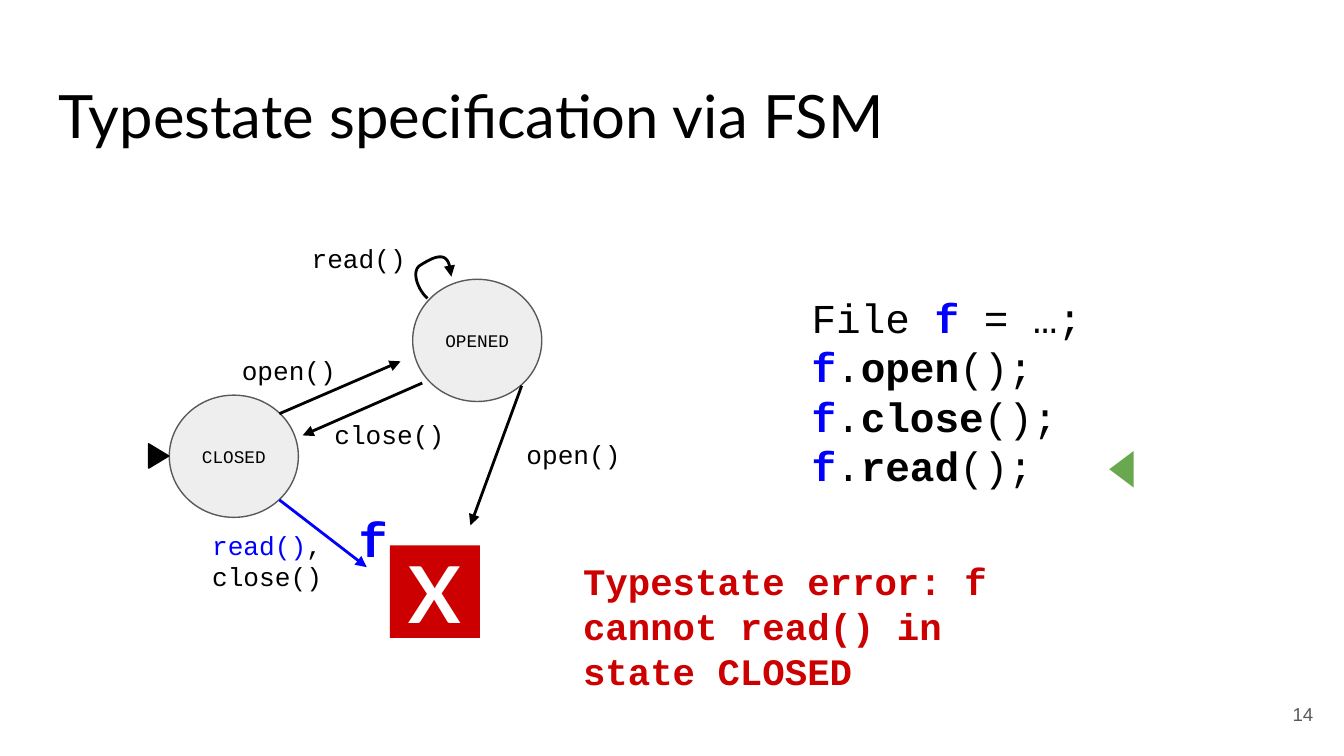
import pptx
import pptx.dml.color
import pptx.enum.shapes
import pptx.enum.text
import pptx.oxml.ns
import pptx.util
from lxml import etree

Cm = pptx.util.Cm
Pt = pptx.util.Pt
RGBColor = pptx.dml.color.RGBColor
Shape = pptx.enum.shapes.MSO_SHAPE
Align = pptx.enum.text.PP_ALIGN
Anchor = pptx.enum.text.MSO_ANCHOR
qn = pptx.oxml.ns.qn

BLACK = RGBColor(0x00, 0x00, 0x00)
WHITE = RGBColor(0xFF, 0xFF, 0xFF)
BLUE = RGBColor(0x00, 0x00, 0xFF)
RED = RGBColor(0xCC, 0x00, 0x00)
GREEN = RGBColor(0x6A, 0xA8, 0x4F)
GRAY = RGBColor(0x59, 0x59, 0x59)
PALE = RGBColor(0xEE, 0xEE, 0xEE)

MONO = "Courier New"
SANS = "Lato"
LABEL_SIZE = 14


def fill_text(shape, lines, size, font=MONO, align=Align.LEFT, anchor=Anchor.TOP):
    """Write lines, each a list of (text, colour, bold) runs."""
    frame = shape.text_frame
    frame.word_wrap = True
    frame.vertical_anchor = anchor
    frame.margin_left = frame.margin_right = Cm(0.25)
    frame.margin_top = frame.margin_bottom = Cm(0.25)
    for index, line in enumerate(lines):
        para = frame.add_paragraph() if index else frame.paragraphs[0]
        para.alignment = align
        for text, color, bold in line:
            span = para.add_run()
            span.text = text
            span.font.name = font
            span.font.size = Pt(size)
            span.font.bold = bold
            span.font.color.rgb = color


def add_text(page, left, top, width, height, lines, size, **style):
    box = page.shapes.add_textbox(Cm(left), Cm(top), Cm(width), Cm(height))
    fill_text(box, lines, size, **style)


def add_label(page, left, top, text, width=6.25):
    add_text(page, left, top, width, 0.84, [[(text, BLACK, False)]], LABEL_SIZE)


def add_solid(page, kind, left, top, width, height, fill, line=None, rotation=0):
    shape = page.shapes.add_shape(kind, Cm(left), Cm(top), Cm(width), Cm(height))
    shape.shadow.inherit = False
    shape.rotation = rotation
    shape.fill.solid()
    shape.fill.fore_color.rgb = fill
    if line is None:
        shape.line.fill.background()
    else:
        shape.line.color.rgb = line
        shape.line.width = Pt(0.75)
    return shape


def add_state(page, left, top, name):
    circle = add_solid(page, Shape.OVAL, left, top, 2.44, 2.31, PALE, GRAY)
    fill_text(circle, [[(name, BLACK, False)]], 9.5,
              align=Align.CENTER, anchor=Anchor.MIDDLE)


def style_arrow(shape, color):
    shape.line.color.rgb = color
    shape.line.width = Pt(1.5)
    etree.SubElement(shape.line._get_or_add_ln(), qn("a:tailEnd"), type="triangle")


def add_arrow(page, start, end, color=BLACK):
    arrow = page.shapes.add_connector(
        pptx.enum.shapes.MSO_CONNECTOR.STRAIGHT,
        Cm(start[0]), Cm(start[1]), Cm(end[0]), Cm(end[1]))
    style_arrow(arrow, color)
    etree.SubElement(arrow._element.spPr, qn("a:effectLst"))


def bezier_points(start, control1, control2, end, steps=12):
    """Sample a cubic Bezier curve, leaving out its start."""
    points = []
    for step in range(1, steps + 1):
        t = step / steps
        weights = ((1 - t) ** 3, 3 * t * (1 - t) ** 2, 3 * t ** 2 * (1 - t), t ** 3)
        corners = (start, control1, control2, end)
        points.append(tuple(
            Cm(sum(w * corner[axis] for w, corner in zip(weights, corners)))
            for axis in (0, 1)))
    return points


def add_loop(page, knots):
    """Draw an arrow along joined cubic curves: a start, then three points each."""
    builder = page.shapes.build_freeform(Cm(knots[0][0]), Cm(knots[0][1]))
    for first in range(0, len(knots) - 1, 3):
        builder.add_line_segments(bezier_points(*knots[first:first + 4]), close=False)
    loop = builder.convert_to_shape()
    loop.shadow.inherit = False
    loop.fill.background()
    style_arrow(loop, BLACK)


def call_line(method):
    return [("f", BLUE, True), (".", BLACK, False),
            (method, BLACK, True), ("();", BLACK, False)]


def add_state_machine(page):
    add_state(page, 3.2, 7.47, "CLOSED")
    add_solid(page, Shape.FLOWCHART_EXTRACT, 2.77, 8.43, 0.46, 0.38,
              BLACK, BLACK, rotation=90)
    add_state(page, 7.8, 5.28, "OPENED")

    add_arrow(page, (5.28, 7.82), (7.57, 6.83))
    add_arrow(page, (7.98, 7.24), (5.72, 8.23))
    add_arrow(page, (5.28, 9.45), (6.93, 10.72), BLUE)
    add_arrow(page, (9.86, 7.29), (8.89, 9.93))
    add_loop(page, [(8.08, 5.64),
                    (7.92, 5.51), (7.77, 5.16), (7.92, 5.03),
                    (8.08, 4.93), (8.28, 4.8), (8.41, 4.88),
                    (8.51, 4.95), (8.51, 5.13), (8.53, 5.23)])

    add_label(page, 4.32, 6.45, "open()")
    add_label(page, 5.64, 4.34, "read()")
    add_label(page, 9.7, 8.03, "open()")
    add_label(page, 6.07, 7.65, "close()", width=2.77)
    add_text(page, 3.76, 9.75, 2.77, 0.84,
             [[("read()", BLUE, False), (", close()", BLACK, False)]], LABEL_SIZE)

    error = add_solid(page, Shape.RECTANGLE, 7.37, 10.31, 1.7, 1.75, RED)
    fill_text(error, [[("X", WHITE, True)]], 42, font=SANS,
              align=Align.CENTER, anchor=Anchor.MIDDLE)
    add_text(page, 6.53, 9.37, 1.22, 1.63, [[("f", BLUE, True)]], 26)


def add_program(page):
    declaration = [("File ", BLACK, False), ("f", BLUE, True), (" = …;", BLACK, False)]
    calls = [call_line(method) for method in ("open", "close", "read")]
    add_text(page, 15.09, 5.28, 8.43, 5.38, [declaration] + calls, 22)
    add_solid(page, Shape.ISOSCELES_TRIANGLE, 20.85, 8.64, 0.69, 0.46,
              GREEN, rotation=270)
    add_text(page, 10.77, 10.31, 8.92, 3.07,
             [[("Typestate error: f cannot read() in state CLOSED", RED, True)]], 20)


def main():
    deck = pptx.Presentation()
    deck.slide_width, deck.slide_height = Cm(25.4), Cm(14.29)
    page = deck.slides.add_slide(deck.slide_layouts[6])
    add_text(page, 0.86, 1.24, 23.67, 1.6,
             [[("Typestate specification via FSM", BLACK, False)]], 32, font=SANS)
    add_state_machine(page)
    add_program(page)
    add_text(page, 23.55, 12.95, 1.52, 1.09, [[("14", GRAY, False)]], 10,
             font="Arial", align=Align.RIGHT, anchor=Anchor.MIDDLE)
    deck.save("out.pptx")


if __name__ == "__main__":
    main()
